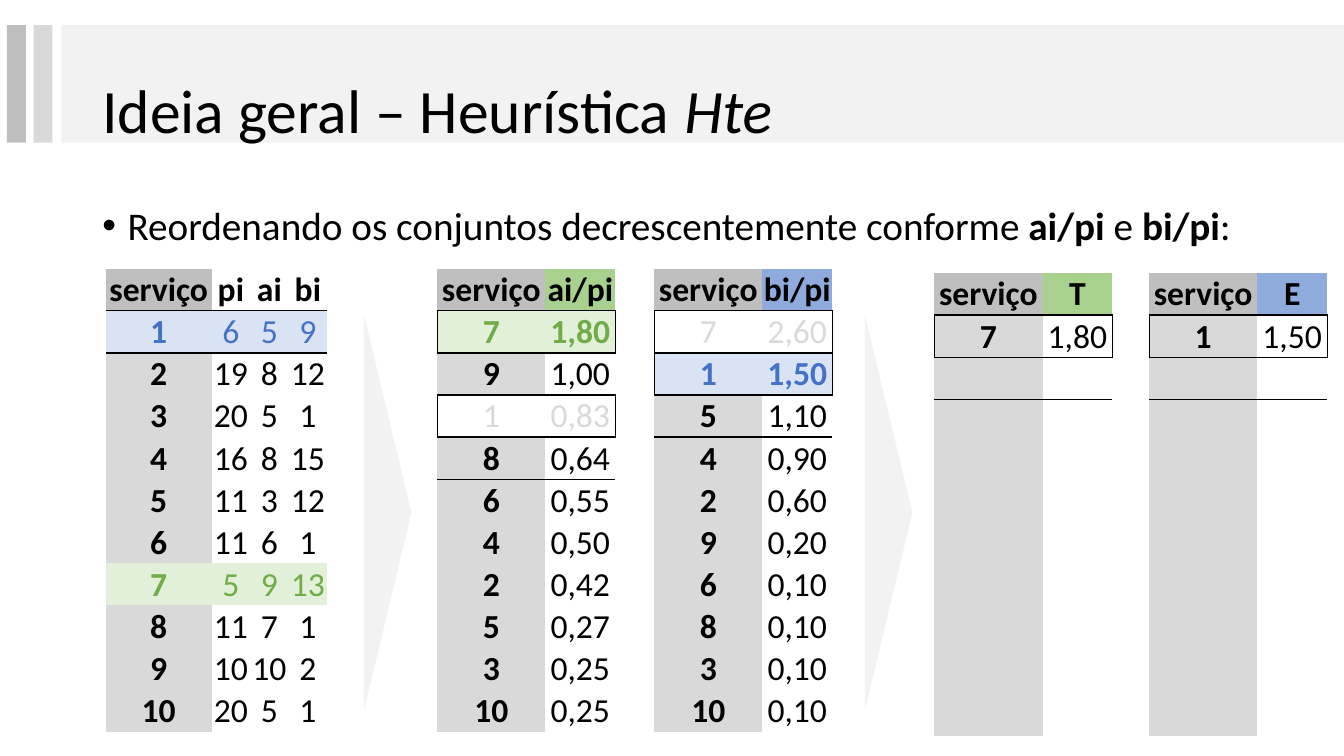
from lxml.etree import SubElement
from pptx import Presentation
from pptx.dml.color import RGBColor
from pptx.enum.shapes import MSO_SHAPE as SHAPE
from pptx.enum.text import MSO_ANCHOR as ANCHOR, MSO_AUTO_SIZE as AUTO, PP_ALIGN as ALIGN
from pptx.oxml import parse_xml
from pptx.oxml.ns import nsdecls, qn
from pptx.util import Pt

BLACK = RGBColor(0x00, 0x00, 0x00)
WHITE = RGBColor(0xFF, 0xFF, 0xFF)
PALE = RGBColor(0xF2, 0xF2, 0xF2)
LIGHT = RGBColor(0xD9, 0xD9, 0xD9)
GRAY = RGBColor(0xBF, 0xBF, 0xBF)
BLUE = RGBColor(0x44, 0x72, 0xC4)
BLUE_HEAD = RGBColor(0x8F, 0xAA, 0xDC)
BLUE_FILL = RGBColor(0xDA, 0xE3, 0xF3)
GREEN = RGBColor(0x70, 0xAD, 0x47)
GREEN_HEAD = RGBColor(0xA9, 0xD1, 0x8E)
GREEN_FILL = RGBColor(0xE2, 0xF0, 0xD9)

NO_GRID = "{2D5ABB26-0587-4C30-8999-92F81FD0307C}"
ROWS, ROW_H = 11, 30.05
PAIR = (77.3, 49.9)

BLUE_ROW = (BLUE_FILL, BLUE)
GREEN_ROW = (GREEN_FILL, GREEN)
FADED_ROW = (WHITE, LIGHT)


def add_text(p, text, size=24, bold=False, italic=False, color=BLACK, font="Calibri"):
    r = p.add_run()
    r.text = text
    f = r.font
    f.name, f.size, f.bold, f.italic = font, Pt(size), bold, italic
    f.color.rgb = color


class Builder:
    def __init__(self, slide):
        self.s = slide

    def shape(self, kind, x, y, w, h, color, rotation=0):
        sp = self.s.shapes.add_shape(kind, Pt(x), Pt(y), Pt(w), Pt(h))
        sp.shadow.inherit = False
        sp.fill.solid()
        sp.fill.fore_color.rgb = color
        sp.line.fill.background()
        sp.rotation = rotation

    def placeholder(self, sp, x, y, w, h, anchor, size, runs):
        sp.left, sp.top, sp.width, sp.height = Pt(x), Pt(y), Pt(w), Pt(h)
        sp.element.getparent().append(sp.element)
        tf = sp.text_frame
        tf.auto_size, tf.word_wrap = AUTO.NONE, True
        tf.vertical_anchor = anchor
        p = tf.paragraphs[0]
        p.alignment, p.line_spacing = ALIGN.LEFT, 0.9
        for text, style in runs:
            add_text(p, text, size=size, **style)
        return p

    def bullet(self, p, indent):
        p.space_before = Pt(10)
        pPr = p._p.get_or_add_pPr()
        pPr.set("marL", str(Pt(indent)))
        pPr.set("indent", str(-Pt(indent)))
        SubElement(pPr, qn("a:buFont")).set("typeface", "Arial")
        SubElement(pPr, qn("a:buChar")).set("char", "•")

    def border(self, cell, sides):
        tcPr = cell._tc.get_or_add_tcPr()
        for i, side in enumerate(sides):
            tcPr.insert(i, parse_xml(
                f'<a:ln{side} {nsdecls("a")} w="{Pt(1)}"><a:solidFill>'
                f'<a:srgbClr val="{BLACK}"/></a:solidFill></a:ln{side}>'))

    def cell(self, cell, text, fill, color, bold):
        cell.margin_left = cell.margin_right = cell.margin_top = Pt(0.6)
        cell.margin_bottom = 0
        cell.vertical_anchor = ANCHOR.BOTTOM
        if fill is None:
            cell.fill.background()
        else:
            cell.fill.solid()
            cell.fill.fore_color.rgb = fill
        p = cell.text_frame.paragraphs[0]
        p.alignment = ALIGN.CENTER
        if text:
            add_text(p, text, bold=bold, color=color)

    def table(self, x, y, widths, head, rows, head_fill=None, marked=None, boxed=(), bold_rows=()):
        marked = marked or {}
        last = len(widths) - 1
        frame = self.s.shapes.add_table(ROWS, len(widths), Pt(x), Pt(y),
                                        Pt(sum(widths)), Pt(ROWS * ROW_H))
        t = frame.table
        t._tbl.tblPr.find(qn("a:tableStyleId")).text = NO_GRID
        t.first_row = t.horz_banding = False
        for col, w in zip(t.columns, widths):
            col.width = Pt(w)
        rules = {1}.union(boxed, (i + 1 for i in boxed))
        lines = [head] + rows
        for i, row in enumerate(t.rows):
            row.height = Pt(ROW_H)
            values = lines[i].split() if i < len(lines) else [""] * len(widths)
            for j, value in enumerate(values):
                first = j == 0
                fill, color = marked.get(i, (LIGHT if first else None, BLACK))
                bold = first and marked.get(i) != FADED_ROW or i in bold_rows
                if i == 0:
                    fill, bold = GRAY if first else head_fill, True
                c = t.cell(i, j)
                self.cell(c, value, fill, color, bold)
                wanted = {"L": i in boxed and first, "R": i in boxed and j == last,
                          "T": i in rules, "B": i + 1 in rules}
                self.border(c, [side for side, on in wanted.items() if on])


prs = Presentation()
prs.slide_width, prs.slide_height = Pt(960), Pt(540)
s = prs.slides.add_slide(prs.slide_layouts[1])
b = Builder(s)

for x, w, color in ((44, 916, PALE), (24, 13.5, LIGHT), (5, 13.5, GRAY)):
    b.shape(SHAPE.RECTANGLE, x, 18, w, 84, color)

b.placeholder(s.shapes.title, 66, 28.75, 828, 104.4, ANCHOR.MIDDLE, 44,
              [("Ideia geral – Heurística ", {}), ("Hte", {"italic": True})])

b.table(75.6, 192, (75.6, 27.5, 27.5, 27.5), "serviço pi ai bi",
        ["1 6 5 9", "2 19 8 12", "3 20 5 1", "4 16 8 15", "5 11 3 12",
         "6 11 6 1", "7 5 9 13", "8 11 7 1", "9 10 10 2", "10 20 5 1"],
        marked={1: BLUE_ROW, 7: GREEN_ROW})
b.table(312.3, 192, PAIR, "serviço ai/pi",
        ["7 1,80", "9 1,00", "1 0,83", "8 0,64", "6 0,55",
         "4 0,50", "2 0,42", "5 0,27", "3 0,25", "10 0,25"],
        GREEN_HEAD, {1: GREEN_ROW, 3: FADED_ROW}, boxed=(1, 3), bold_rows=(1,))
b.table(467.3, 192, PAIR, "serviço bi/pi",
        ["7 2,60", "1 1,50", "5 1,10", "4 0,90", "2 0,60",
         "9 0,20", "6 0,10", "8 0,10", "3 0,10", "10 0,10"],
        BLUE_HEAD, {1: FADED_ROW, 2: BLUE_ROW}, boxed=(1, 2), bold_rows=(2,))

for x in (135.4, 493.2):
    b.shape(SHAPE.ISOSCELES_TRIANGLE, x, 349.2, 283, 34, PALE, rotation=90)

b.table(667.4, 195, PAIR, "serviço T", ["7 1,80"], GREEN_HEAD, boxed=(1,))
b.table(820.8, 195, PAIR, "serviço E", ["1 1,50"], BLUE_HEAD, boxed=(1,))

p = b.placeholder(s.placeholders[1], 66, 144, 828, 49, ANCHOR.TOP, 28,
                  [("Reordenando os conjuntos decrescentemente conforme ", {}),
                   ("ai/pi ", {"bold": True}), ("e ", {}),
                   ("bi/pi", {"bold": True}), (":", {})])
b.bullet(p, 18)

prs.save("out.pptx")
